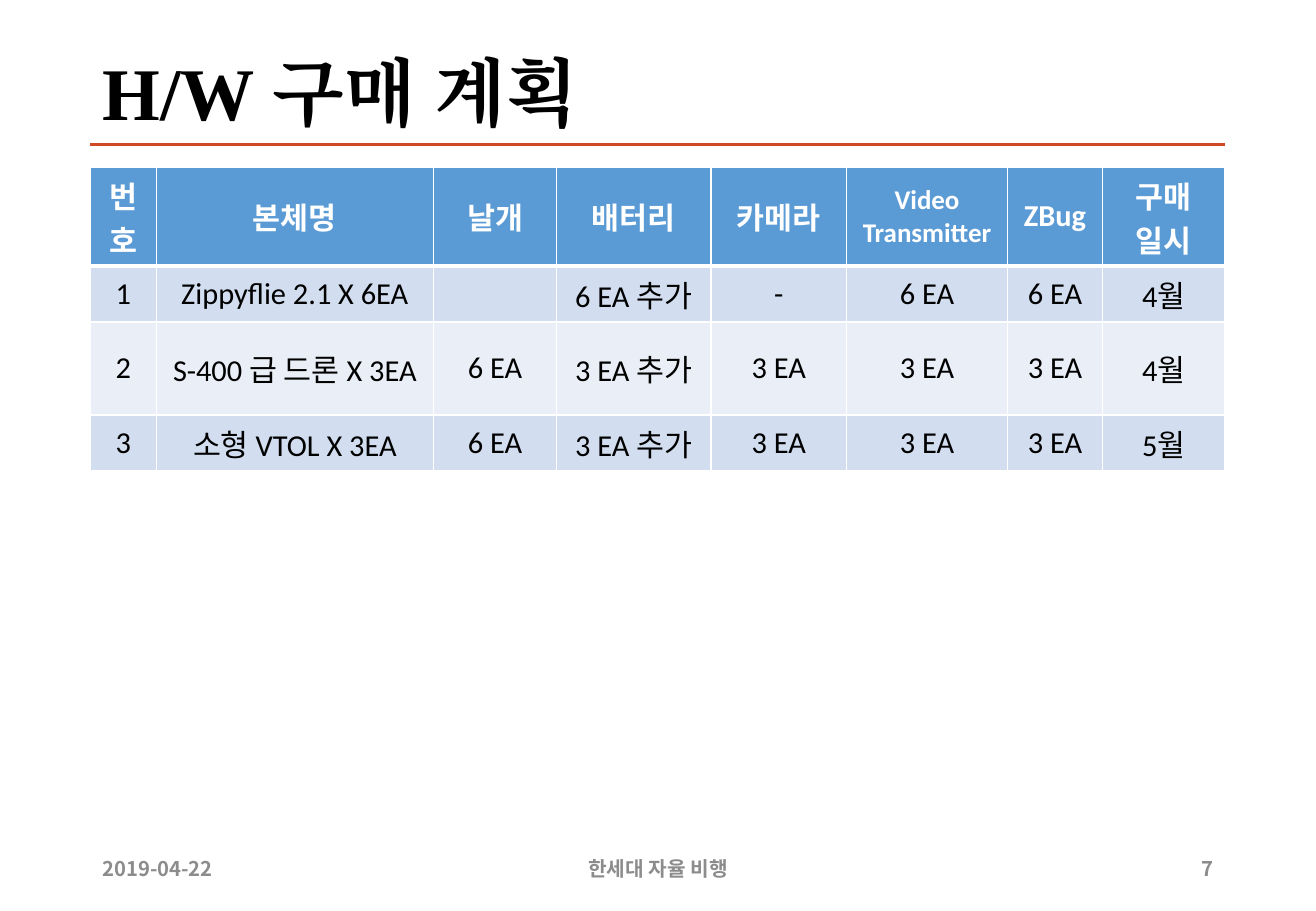
from dataclasses import dataclass

from lxml.etree import SubElement
from pptx import Presentation
from pptx.dml.color import RGBColor
from pptx.enum.shapes import MSO_CONNECTOR
from pptx.enum.text import MSO_ANCHOR, PP_ALIGN
from pptx.oxml import parse_xml
from pptx.oxml.ns import nsdecls, qn
from pptx.util import Cm, Pt

KOREAN = "Noto Sans CJK KR"
SERIF = "Times New Roman"
LEFT, RIGHT = 1.89, 25.61
ROW_HEIGHTS = (2.07, 1.17, 1.95, 1.17)


@dataclass
class Label:
    text: str
    left: float
    top: float
    width: float
    height: float
    size: int
    font: str = KOREAN
    east_font: str = KOREAN
    color: str = "8C8C8C"
    align: PP_ALIGN = PP_ALIGN.LEFT
    spacing: float | None = None


@dataclass
class Column:
    width: float
    heading: str
    values: tuple[str, str, str]
    heading_size: int = 18


LABELS = [
    Label("H/W 구매 계획", LEFT, 1.02, 23.72, 2.01, 44, SERIF, SERIF, "000000", spacing=0.9),
    Label("2019-04-22", LEFT, 17.65, 3.23, 1.02, 12),
    Label("한세대 자율 비행", 9.11, 17.65, 9.3, 1.02, 12, align=PP_ALIGN.CENTER),
    Label("7", 24.26, 17.65, 1.35, 1.02, 12, align=PP_ALIGN.RIGHT),
]

COLUMNS = [
    Column(1.38, "번호", ("1", "2", "3")),
    Column(5.79, "본체명", ("Zippyflie 2.1 X 6EA", "S-400 급 드론 X 3EA", "소형 VTOL X 3EA")),
    Column(2.58, "날개", ("", "6 EA", "6 EA")),
    Column(3.22, "배터리", ("6 EA 추가", "3 EA 추가", "3 EA 추가")),
    Column(2.84, "카메라", ("-", "3 EA", "3 EA")),
    Column(3.36, "Video\nTransmitter", ("6 EA", "3 EA", "3 EA"), 16),
    Column(1.99, "ZBug", ("6 EA", "3 EA", "3 EA")),
    Column(2.56, "구매\n일시", ("4월", "4월", "5월")),
]


def rgb(value: str) -> RGBColor:
    return RGBColor.from_string(value)


def write(tf, text: str, *, size: int, font: str, color: str, east_font: str = KOREAN,
          bold: bool = False, align: PP_ALIGN = PP_ALIGN.LEFT,
          spacing: float | None = None) -> None:
    tf.word_wrap = True
    for i, line in enumerate(text.split("\n")):
        p = tf.add_paragraph() if i else tf.paragraphs[0]
        p.alignment = align
        p.line_spacing = spacing
        if not line:
            p.font.size = Pt(size)
            continue
        r = p.add_run()
        r.text = line
        r.font.size = Pt(size)
        r.font.name = font
        r.font.bold = bold
        r.font.color.rgb = rgb(color)
        SubElement(r.font._element, qn("a:ea")).set("typeface", east_font)


def add_label(s, label: Label) -> None:
    sp = s.shapes.add_textbox(Cm(label.left), Cm(label.top), Cm(label.width), Cm(label.height))
    tf = sp.text_frame
    tf.vertical_anchor = MSO_ANCHOR.MIDDLE
    write(tf, label.text, size=label.size, font=label.font, east_font=label.east_font,
          color=label.color, bold=True, align=label.align, spacing=label.spacing)


def add_borders(cell, top: int, bottom: int) -> None:
    tc_pr = cell._tc.get_or_add_tcPr()
    for i, (side, width) in enumerate({"L": 1, "R": 1, "T": top, "B": bottom}.items()):
        tc_pr.insert(i, parse_xml(
            f'<a:ln{side} {nsdecls("a")} w="{Pt(width)}"><a:solidFill>'
            f'<a:srgbClr val="FFFFFF"/></a:solidFill></a:ln{side}>'))


def fill_cell(cell, text: str, row: int, size: int) -> None:
    header = row == 0
    cell.vertical_anchor = MSO_ANCHOR.MIDDLE
    cell.fill.solid()
    cell.fill.fore_color.rgb = rgb("5B9BD5" if header else "D2DEEF" if row % 2 else "EAEFF7")
    add_borders(cell, 3 if row == 1 else 1, 3 if header else 1)
    write(cell.text_frame, text, size=size, font="Calibri", bold=header,
          color="FFFFFF" if header else "000000", align=PP_ALIGN.CENTER)


def add_purchase_table(s, columns: list[Column]) -> None:
    table = s.shapes.add_table(len(ROW_HEIGHTS), len(columns), Cm(LEFT), Cm(3.49),
                               Cm(sum(c.width for c in columns)), Cm(sum(ROW_HEIGHTS))).table
    for row, height in zip(table.rows, ROW_HEIGHTS):
        row.height = Cm(height)
    for x, column in enumerate(columns):
        table.columns[x].width = Cm(column.width)
        for y, text in enumerate((column.heading, *column.values)):
            fill_cell(table.cell(y, x), text, y, 18 if y else column.heading_size)


def add_title_rule(s) -> None:
    line = s.shapes.add_connector(MSO_CONNECTOR.STRAIGHT, Cm(LEFT), Cm(3.02), Cm(RIGHT), Cm(3.02))
    line.line.color.rgb = rgb("D24726")
    line.line.width = Pt(2)
    SubElement(line._element.spPr, qn("a:effectLst"))


def main() -> None:
    prs = Presentation()
    prs.slide_width, prs.slide_height = Cm(27.51), Cm(19.05)
    s = prs.slides.add_slide(prs.slide_layouts[6])

    # Title rule
    add_title_rule(s)

    # Title and footer
    for label in LABELS:
        add_label(s, label)

    # Purchase plan
    add_purchase_table(s, COLUMNS)

    prs.save("out.pptx")


if __name__ == "__main__":
    main()
